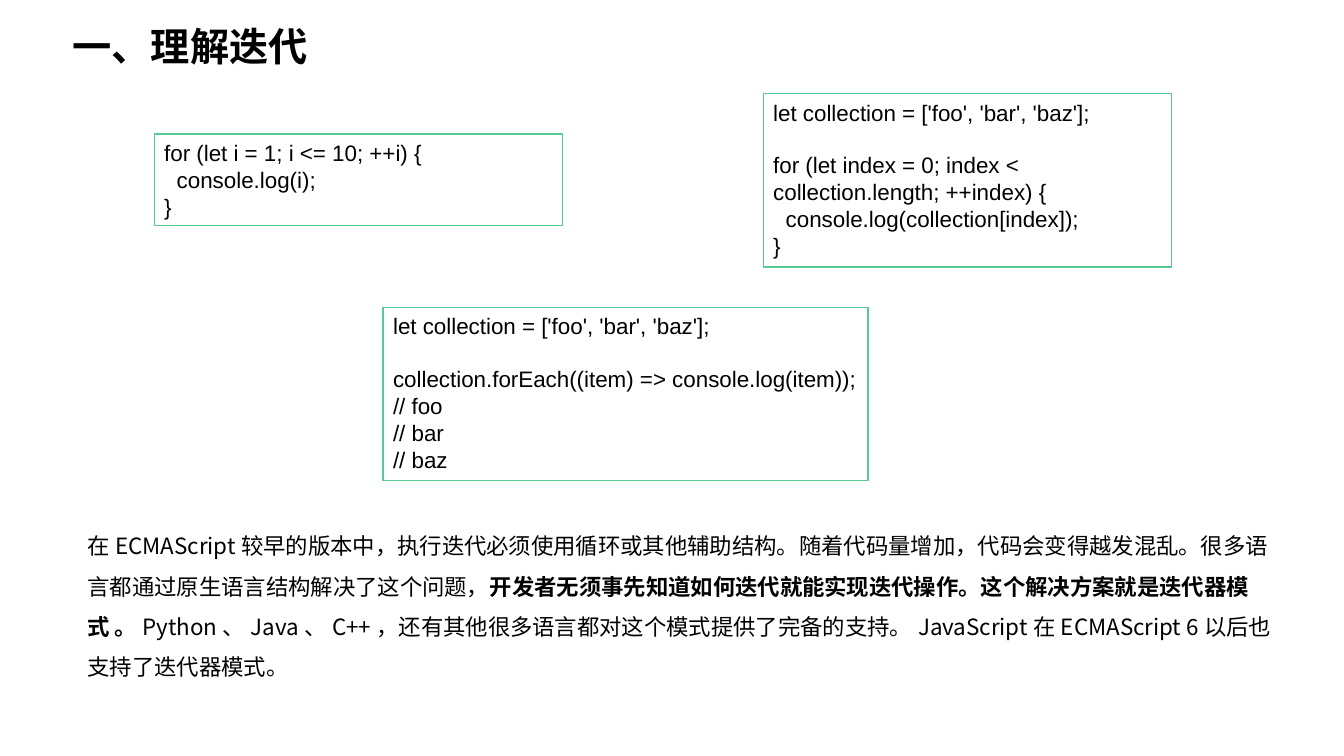
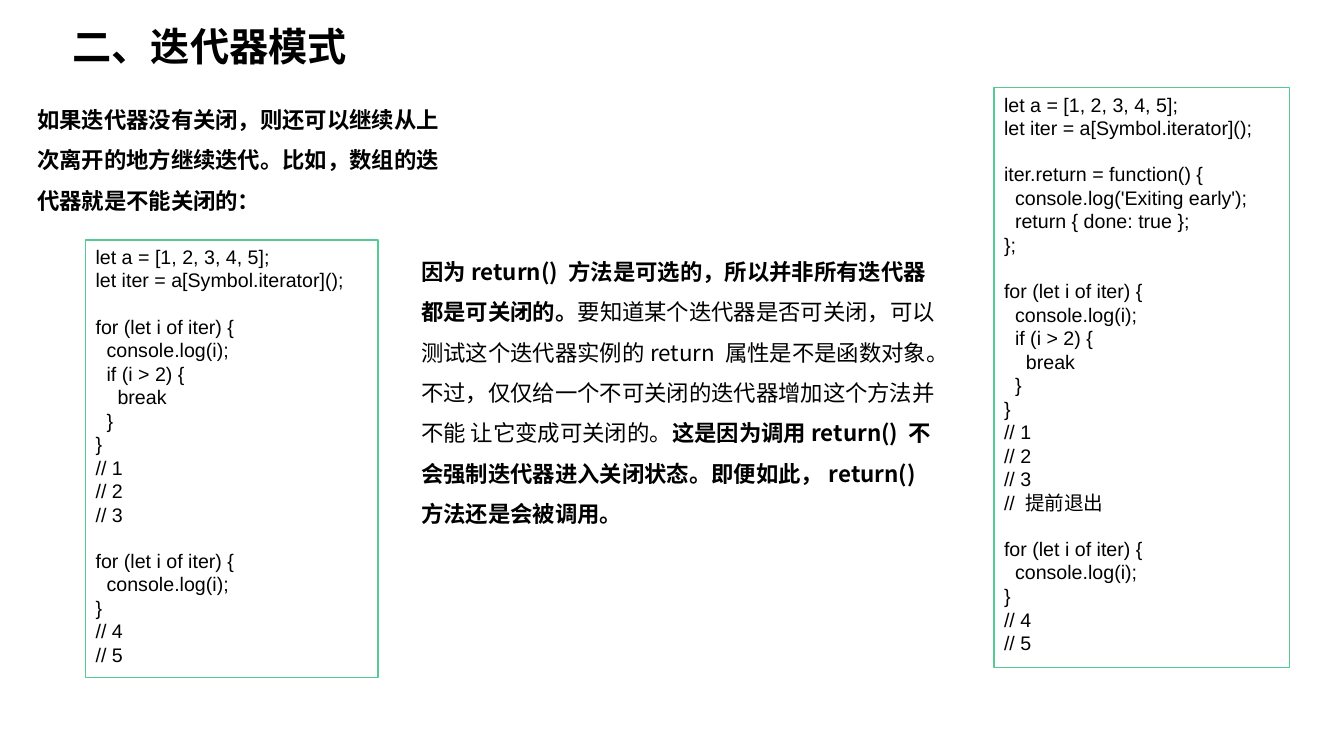
"""Build two slides on iteration and the iterator pattern."""
from pptx import Presentation
from pptx.dml.color import RGBColor
from pptx.enum.shapes import MSO_SHAPE
from pptx.enum.text import MSO_ANCHOR, MSO_AUTO_SIZE, PP_ALIGN
from pptx.oxml.ns import qn
from pptx.util import Inches, Pt
from lxml.etree import SubElement

COLORS = {"text": "000000", "fill": "FFFFFF", "edge": "56CA95"}
SANS, HAN = "Arial", "Noto Sans CJK SC"


def add_run(par, text, size, face, bold=False):
    run = par.add_run()
    run.text = text
    font = run.font
    font.size, font.bold, font.name = Pt(size), bold, face
    font.color.rgb = RGBColor.from_string(COLORS["text"])
    SubElement(font._element, qn("a:ea")).set("typeface", HAN)


def add_box(slide, place, edged):
    box = slide.shapes.add_shape(MSO_SHAPE.RECTANGLE, *map(Inches, place))
    box.shadow.inherit = False
    box.fill.solid()
    box.fill.fore_color.rgb = RGBColor.from_string(COLORS["fill"])
    if edged:
        box.line.color.rgb = RGBColor.from_string(COLORS["edge"])
        box.line.width = Pt(1)
    else:
        box.line.fill.background()
    frame = box.text_frame
    frame.word_wrap = True
    frame.vertical_anchor = MSO_ANCHOR.TOP
    return frame


COUNT = """for (let i = 1; i <= 10; ++i) {
  console.log(i);
}"""
INDEX = """let collection = ['foo', 'bar', 'baz'];

for (let index = 0; index < collection.length; ++index) {
  console.log(collection[index]);
}"""
EACH = """let collection = ['foo', 'bar', 'baz'];

collection.forEach((item) => console.log(item));
// foo
// bar
// baz"""
START = """let a = [1, 2, 3, 4, 5];
let iter = a[Symbol.iterator]();

"""
CLOSE = """iter.return = function() {
  console.log('Exiting early');
  return { done: true };
};

"""
FIRST = """for (let i of iter) {
  console.log(i);
  if (i > 2) {
    break
  }
}
// 1
// 2
// 3
"""
EXIT = "// 提前退出\n"
REST = """
for (let i of iter) {
  console.log(i);
}
// 4
// 5"""

PAGES = [
    {
        "title": "一、理解迭代",
        "size": 16,
        "codes": [
            ((1.53, 1.33, 4.05, 0.91), COUNT),
            ((7.57, 0.93, 4.05, 1.72), INDEX),
            ((3.8, 3.05, 4.81, 1.72), EACH),
        ],
        "prose": [
            ((0.77, 5.1, 11.94, 1.72), [
                ("在ECMAScript较早的版本中，执行迭代必须使用循环或其他辅助结构。"
                 "随着代码量增加，代码会变得越发混乱。"
                 "很多语言都通过原生语言结构解决了这个问题，", False),
                ("开发者无须事先知道如何迭代就能实现迭代操作。"
                 "这个解决方案就是迭代器模式 。", True),
                ("Python、Java、C++，还有其他很多语言都对这个模式提供了完备的支持。"
                 "JavaScript在ECMAScript 6以后也支持了迭代器模式。", False),
            ]),
        ],
    },
    {
        "title": "二、迭代器模式",
        "size": 14,
        "codes": [
            ((0.85, 2.38, 2.9, 4.34), START + FIRST + REST),
            ((9.86, 0.87, 2.93, 5.75), START + CLOSE + FIRST + EXIT + REST),
        ],
        "prose": [
            ((0.27, 0.87, 4.27, 1.31), [
                ("如果迭代器没有关闭，则还可以继续从上次离开的地方继续迭代。"
                 "比如，数组的迭代器就是不能关闭的：", True),
            ]),
            ((4.08, 2.38, 5.37, 2.93), [
                ("因为return() 方法是可选的，所以并非所有迭代器都是可关闭的。", True),
                ("要知道某个迭代器是否可关闭，"
                 "可以测试这个迭代器实例的return 属性是不是函数对象。"
                 "不过，仅仅给一个不可关闭的迭代器增加这个方法并不能 "
                 "让它变成可关闭的。", False),
                ("这是因为调用return() 不会强制迭代器进入关闭状态。"
                 "即便如此，return() 方法还是会被调用。", True),
            ]),
        ],
    },
]

deck = Presentation()
deck.slide_width, deck.slide_height = Inches(13.33), Inches(7.5)

for page in PAGES:
    slide = deck.slides.add_slide(deck.slide_layouts[5])
    title = slide.shapes.title
    title.left, title.top = Inches(0.62), Inches(0.17)
    title.width, title.height = Inches(6.76), Inches(0.57)
    frame = title.text_frame
    frame.auto_size = MSO_AUTO_SIZE.NONE
    frame.vertical_anchor = MSO_ANCHOR.MIDDLE
    frame.paragraphs[0].alignment = PP_ALIGN.LEFT
    add_run(frame.paragraphs[0], page["title"], 28, SANS, True)

    for place, parts in page["prose"]:
        par = add_box(slide, place, False).paragraphs[0]
        par.alignment, par.line_spacing = PP_ALIGN.LEFT, 1.5
        for text, bold in parts:
            add_run(par, text, 16, HAN, bold)

    size = page["size"]
    for place, code in page["codes"]:
        frame = add_box(slide, place, True)
        par, gap = frame.paragraphs[0], 0
        for line in code.split("\n"):
            if not line:
                gap = size * 1.15
                continue
            if par.runs:
                par = frame.add_paragraph()
            par.alignment, par.space_before = PP_ALIGN.LEFT, Pt(gap)
            text = line.lstrip()
            indent = Pt((len(line) - len(text)) * size * 0.28)
            par._p.get_or_add_pPr().set("marL", str(indent))
            add_run(par, text, size, SANS)
            gap = 0

deck.save("out.pptx")
